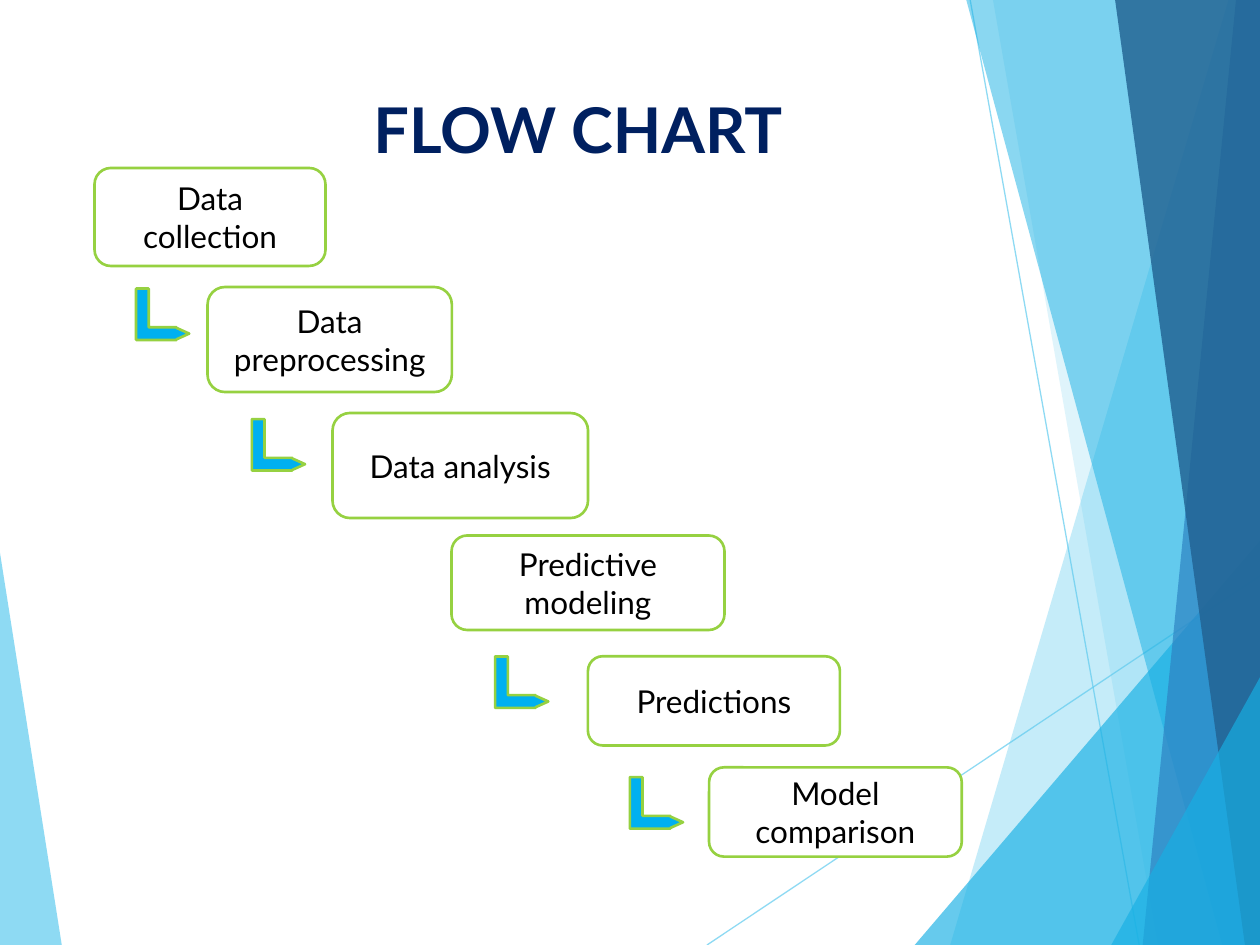
from pptx import Presentation
from pptx.dml.color import RGBColor
from pptx.enum.shapes import MSO_CONNECTOR as Link, MSO_SHAPE as Shape
from pptx.enum.text import MSO_ANCHOR as Anchor, PP_ALIGN as Align
from pptx.oxml.ns import qn
from pptx.oxml.xmlchemy import OxmlElement as Node
from pptx.util import Pt

SKY = RGBColor(0x5F, 0xCB, 0xEF)
AZURE = RGBColor(0x17, 0xB0, 0xE4)
BLUE = RGBColor(0x2E, 0x83, 0xC3)
DEEP = RGBColor(0x22, 0x62, 0x92)
NAVY = RGBColor(0x00, 0x20, 0x60)
CYAN = RGBColor(0x00, 0xB0, 0xF0)
GREEN = RGBColor(0x96, 0xD1, 0x41)
WHITE = RGBColor(0xFF, 0xFF, 0xFF)
BLACK = RGBColor(0, 0, 0)
FONT = "Lato"

WEDGE = (SKY, 70, [(0, 316), (35.3, 540), (0, 540)])
RAYS = [((404, 540), (720, 329)), ((554.4, 0), (651, 540))]
SHARDS = [
    (SKY, 36, [(702, 0), (543, 540), (720, 540), (720, 0)]),
    (SKY, 20, [(567.4, 0), (661.7, 540), (720, 540), (720, 0)]),
    (AZURE, 66, [(522.7, 540), (720, 309), (720, 540)]),
    (AZURE, 50, [(552.2, 0), (698.4, 540), (720, 540), (720, 0)]),
    (BLUE, 70, [(706.3, 0), (653, 540), (720, 540), (720, 0)]),
    (DEEP, 82, [(637.2, 0), (711.4, 540), (720, 540), (720, 0)]),
    (AZURE, 66, [(635, 540), (720, 387), (720, 540)]),
]
STEPS = [
    ("Data collection", (54, 96, 132, 56)),
    ("Data preprocessing", (118.6, 164, 139.6, 60)),
    ("Data analysis", (190, 236, 146, 60)),
    ("Predictive modeling", (258, 306, 156, 54)),
    ("Predictions", (336, 375, 144, 51)),
    ("Model comparison", (405.2, 438.5, 144.4, 51)),
]
ARROWS = [(78.4, 164.2), (144.6, 238.8), (283.6, 374.4), (360.6, 443.4)]


def fade(shape, share):
    """Set the opacity of a shape's colour in percent."""
    for clr in shape._element.iter(qn("a:srgbClr")):
        alpha = Node("a:alpha")
        alpha.set("val", str(share * 1000))
        clr.append(alpha)


def add_shard(slide, left, top, color, share, points):
    """Draw one translucent polygon."""
    spots = [(Pt(left + x), Pt(top + y)) for x, y in points]
    build = slide.shapes.build_freeform(*spots[0])
    build.add_line_segments(spots[1:], close=True)
    shard = build.convert_to_shape()
    shard.shadow.inherit = False
    shard.fill.solid()
    shard.fill.fore_color.rgb = color
    shard.line.fill.background()
    fade(shard, share)


def add_ray(slide, left, top, start, end):
    """Draw one thin translucent line."""
    ends = [Pt(n) for x, y in (start, end) for n in (left + x, top + y)]
    ray = slide.shapes.add_connector(Link.STRAIGHT, *ends)
    ray.line.color.rgb = SKY
    ray.line.width = Pt(0.75)
    ray._element.spPr.append(Node("a:effectLst"))
    fade(ray, 70)


def add_facets(slide, left, top):
    """Draw the faceted backdrop."""
    add_shard(slide, left, top, *WEDGE)
    for ray in RAYS:
        add_ray(slide, left, top, *ray)
    for shard in SHARDS:
        add_shard(slide, left, top, *shard)


def style_text(frame, text, size, color, bold=False):
    """Fill a frame with one centred paragraph."""
    frame.word_wrap = True
    frame.text = text
    para = frame.paragraphs[0]
    para.alignment = Align.CENTER
    font = para.runs[0].font
    font.name, font.size, font.bold = FONT, Pt(size), bold
    font.color.rgb = color


def add_title(slide, left, top, width, height):
    """Place the heading, pushed right by its left inset."""
    box = slide.shapes.add_textbox(Pt(left), Pt(top), Pt(width), Pt(height))
    style_text(box.text_frame, "FLOW CHART", 36, NAVY, True)
    box.text_frame.margin_left = Pt(71.6)


def add_block(slide, kind, box, color):
    """Draw one green-edged preset shape."""
    block = slide.shapes.add_shape(kind, *map(Pt, box))
    block.shadow.inherit = False
    block.fill.solid()
    block.fill.fore_color.rgb = color
    block.line.color.rgb = GREEN
    block.line.width = Pt(1.5)
    return block


def add_flow(slide, left, top):
    """Draw the stair of steps and its bent arrows."""
    for text, (x, y, width, height) in STEPS:
        box = left + x, top + y, width, height
        step = add_block(slide, Shape.ROUNDED_RECTANGLE, box, WHITE)
        step.text_frame.vertical_anchor = Anchor.MIDDLE
        style_text(step.text_frame, text, 18, BLACK)
    for x, y in ARROWS:
        box = left + x, top + y, 29, 30.4
        arrow = add_block(slide, Shape.BENT_UP_ARROW, box, CYAN)
        arrow.rotation = 90
        arrow.adjustments[1] = 0.112


def main():
    """Build and save the slide."""
    deck = Presentation()
    deck.slide_width, deck.slide_height = Pt(720), Pt(540)
    slide = deck.slides.add_slide(deck.slide_layouts[6])
    add_facets(slide, 0, 0)
    add_title(slide, 48, 48, 500, 104)
    add_flow(slide, 0, 0)
    deck.save("out.pptx")


if __name__ == "__main__":
    main()
